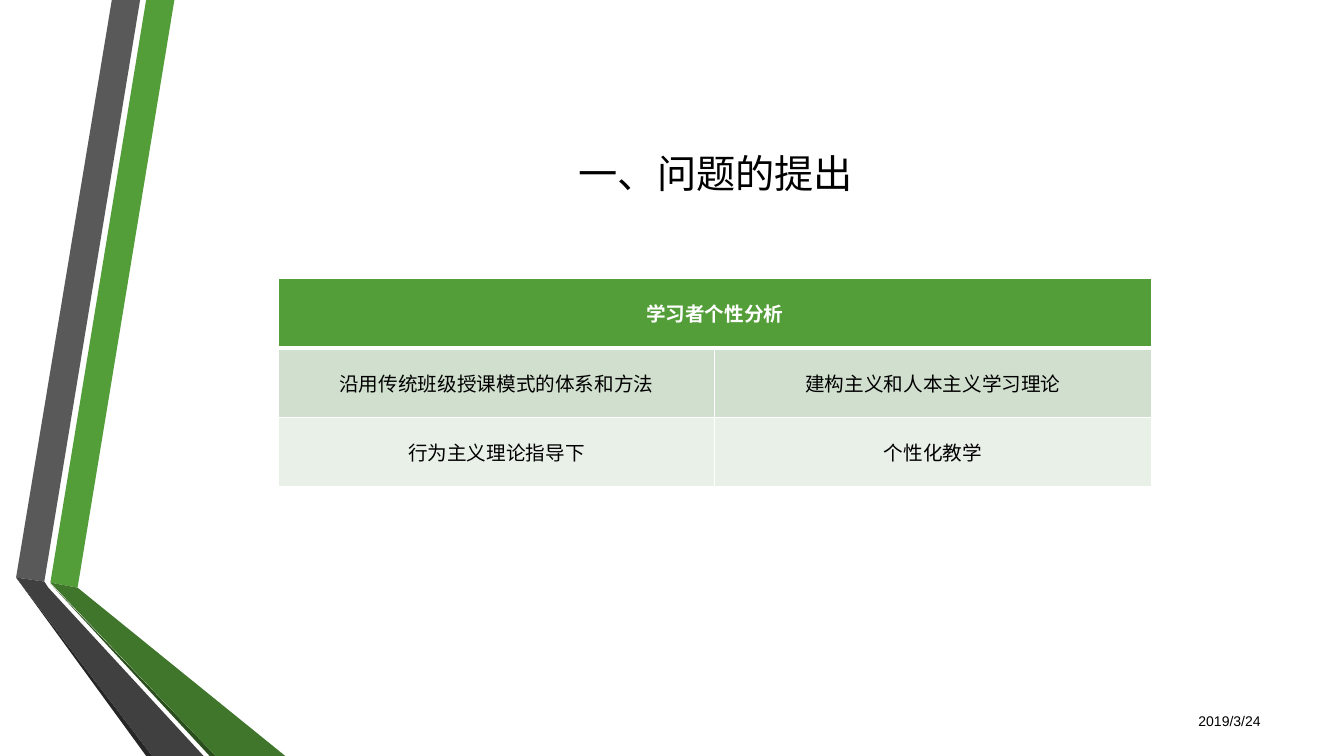
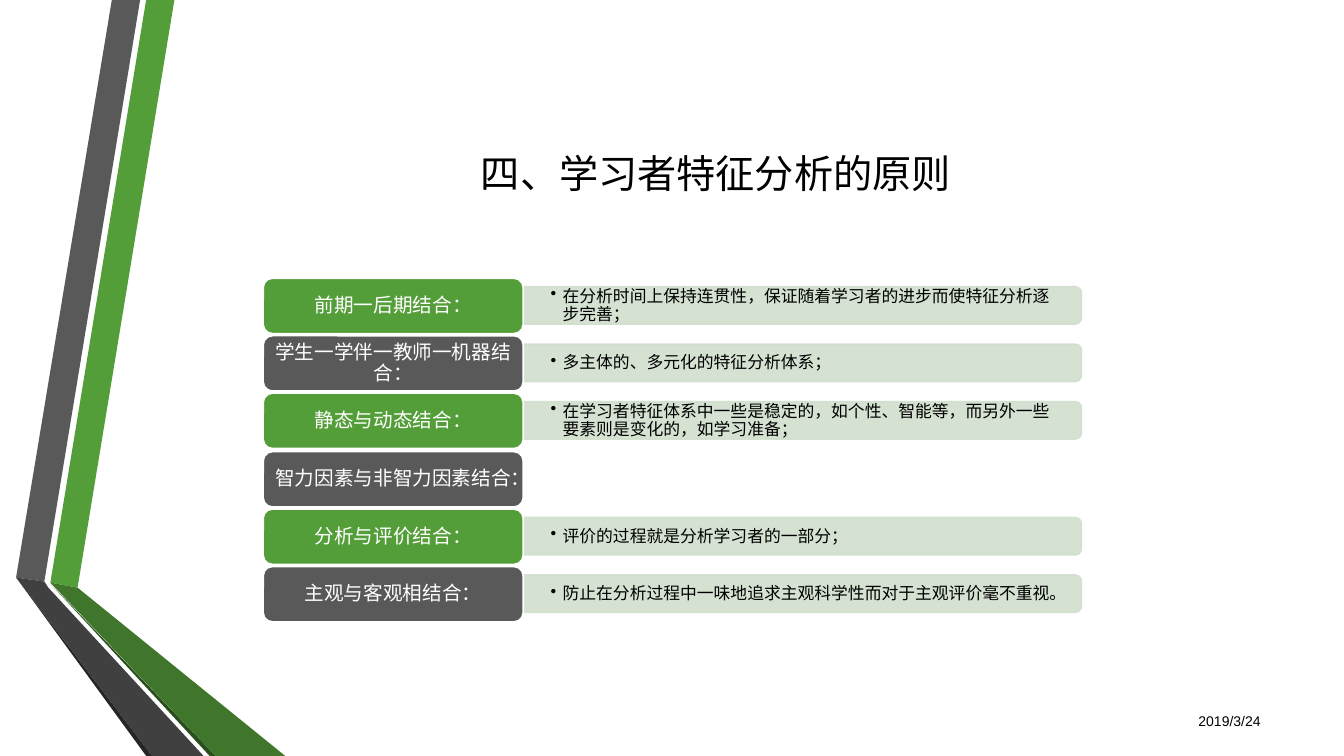
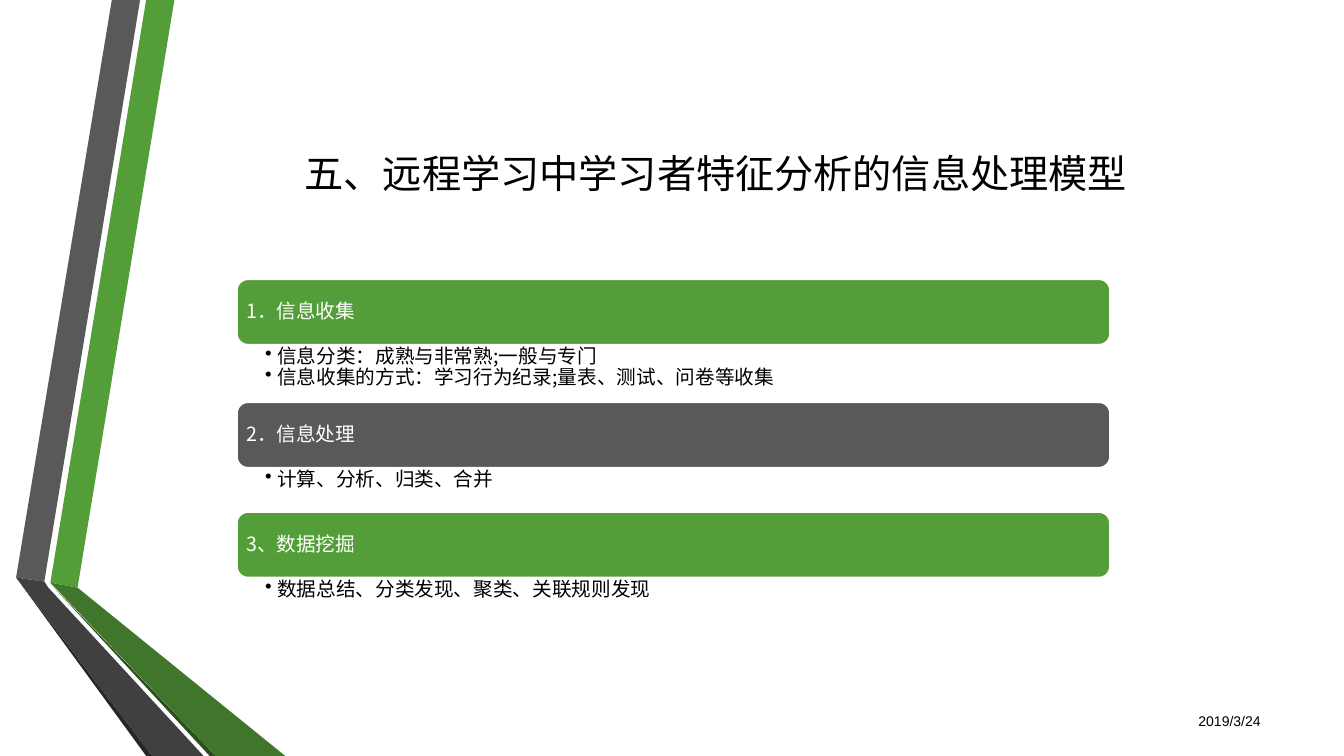
from lxml import etree
from pptx import Presentation
from pptx.dml.color import RGBColor
from pptx.enum.shapes import MSO_SHAPE
from pptx.enum.text import MSO_ANCHOR, PP_ALIGN
from pptx.oxml.ns import qn
from pptx.util import Pt

PX = 9144  # 100 px to the inch
LEFT, CENTER, RIGHT = PP_ALIGN.LEFT, PP_ALIGN.CENTER, PP_ALIGN.RIGHT
TOP, MIDDLE = MSO_ANCHOR.TOP, MSO_ANCHOR.MIDDLE
ROUND, ROUND_TOP = MSO_SHAPE.ROUNDED_RECTANGLE, MSO_SHAPE.ROUND_2_SAME_RECTANGLE

THEME = {
    "green": RGBColor.from_string("549E39"),
    "gray": RGBColor.from_string("595959"),
    "green_dark": RGBColor.from_string("3F762B"),
    "green_edge": RGBColor.from_string("2A4F1C"),
    "gray_dark": RGBColor.from_string("404040"),
    "gray_edge": RGBColor.from_string("262626"),
    "pale": RGBColor.from_string("D1DFCE"),
    "paler": RGBColor.from_string("E9F0E8"),
    "white": RGBColor.from_string("FFFFFF"),
    "black": RGBColor.from_string("000000"),
    "latin": "Arial",
    "cjk": "Noto Sans CJK SC",
    "title": Pt(28), "body": Pt(14), "detail": Pt(12), "date": Pt(10),
    "line": Pt(1.25),
}
ACCENTS = [THEME["green"], THEME["gray"]]

RIBBONS = [
    ("green", [(50, 578), (77, 583), (173, 0), (145, 0)]),
    ("gray", [(139, 0), (111, 0), (16, 573), (44, 577)]),
    ("gray_edge", [(16, 573), (145, 750), (151, 750)]),
    ("green_edge", [(50, 579), (208, 750), (214, 750)]),
    ("green_dark", [(50, 578), (214, 750), (283, 750), (77, 583)]),
    ("gray_dark", [(202, 750), (48, 583), (44, 577), (16, 573), (151, 750)]),
]


def write(tf, lines, size, color="black", font="latin", align=LEFT, anchor=MIDDLE,
          insets=(10, 5, 10, 5), spacing=None, bullet=False, bold=False):
    """Fill a text frame or table cell; insets are left, top, right, bottom."""
    frame = getattr(tf, "text_frame", tf)
    frame.word_wrap = True
    tf.vertical_anchor = anchor
    for side, inset in zip(("left", "top", "right", "bottom"), insets):
        setattr(tf, "margin_" + side, inset * PX)
    for i, line in enumerate(lines):
        p = frame.add_paragraph() if i else frame.paragraphs[0]
        p.alignment, p.line_spacing = align, spacing
        if bullet:
            pPr = p._p.get_or_add_pPr()
            pPr.set("marL", str(12 * PX))
            pPr.set("indent", str(-12 * PX))
            etree.SubElement(pPr, qn("a:buChar")).set("char", "•")
        r = p.add_run()
        r.text = line
        for name, value in {"size": THEME[size], "name": THEME[font], "bold": bold}.items():
            setattr(r.font, name, value)
        r.font.color.rgb = THEME[color]
        if font == "cjk":
            etree.SubElement(r._r.get_or_add_rPr(), qn("a:ea")).set("typeface", THEME[font])


def add_box(s, box, kind=None, fill=None, line=None):
    """Add a text box, or a filled and outlined shape when a kind is given."""
    box = [v * PX for v in box]
    if kind is None:
        return s.shapes.add_textbox(*box)
    sp = s.shapes.add_shape(kind, *box)
    sp.shadow.inherit = False
    sp.fill.solid()
    sp.fill.fore_color.rgb = fill
    sp.line.color.rgb = line
    sp.line.width = THEME["line"]
    return sp


prs = Presentation()
prs.slide_width, prs.slide_height = 1333 * PX, 750 * PX

slides = []
for title in ("一、问题的提出", "四、学习者特征分析的原则",
              "五、远程学习中学习者特征分析的信息处理模型"):
    s = prs.slides.add_slide(prs.slide_layouts[6])
    for color, points in RIBBONS:
        outline = s.shapes.build_freeform(*points[0], scale=PX)
        outline.add_line_segments(points[1:], close=True)
        sp = outline.convert_to_shape()
        sp.shadow.inherit = False
        sp.fill.solid()
        sp.fill.fore_color.rgb = THEME[color]
        sp.line.fill.background()
    write(add_box(s, (162, 75, 1096, 192)).text_frame, [title], "title",
          font="cjk", align=CENTER)
    write(add_box(s, (1135, 695, 125, 40)).text_frame, ["2019/3/24"], "date", align=RIGHT)
    slides.append(s)
table_slide, principles_slide, model_slide = slides

# Slide 1: comparison table
ROWS = [
    ("学习者个性分析", ""),
    ("沿用传统班级授课模式的体系和方法", "建构主义和人本主义学习理论"),
    ("行为主义理论指导下", "个性化教学"),
]
table = table_slide.shapes.add_table(3, 2, 276 * PX, 276 * PX, 866 * PX, 207 * PX).table
table.cell(0, 0).merge(table.cell(0, 1))
for i, (texts, fill) in enumerate(zip(ROWS, ("green", "pale", "paler"))):
    table.rows[i].height = 69 * PX
    for j, text in enumerate(texts):
        cell = table.cell(i, j)
        cell.fill.solid()
        cell.fill.fore_color.rgb = THEME[fill]
        if text:
            write(cell, [text], "body", "black" if i else "white", align=CENTER, bold=i == 0)
        widths = {"L": 1, "R": 1, "T": 3 if i == 1 else 1, "B": 1 if i else 3}
        for n, (side, width) in enumerate(widths.items()):
            ln = etree.Element(qn("a:ln" + side), w=str(Pt(width)))
            solid = etree.SubElement(ln, qn("a:solidFill"))
            etree.SubElement(solid, qn("a:srgbClr")).set("val", str(THEME["white"]))
            cell._tc.get_or_add_tcPr().insert(n, ln)

# Slide 2: principles, each a label with an optional detail
PRINCIPLES = [
    ("前期一后期结合：", "在分析时间上保持连贯性，保证随着学习者的进步而使特征分析逐步完善；"),
    ("学生一学伴一教师一机器结合：", "多主体的、多元化的特征分析体系；"),
    ("静态与动态结合：", "在学习者特征体系中一些是稳定的，如个性、智能等，而另外一些要素则是变化的，如学习准备；"),
    ("智力因素与非智力因素结合：", None),
    ("分析与评价结合：", "评价的过程就是分析学习者的一部分；"),
    ("主观与客观相结合：", "防止在分析过程中一味地追求主观科学性而对于主观评价毫不重视。"),
]
s = principles_slide
for i, (label, detail) in enumerate(PRINCIPLES):
    top = 276 + 344 * i // 6
    if detail:
        # The strip is an upright shape turned on its side
        strip = add_box(s, (777, top - 250, 37, 554), ROUND_TOP, THEME["pale"], THEME["pale"])
        strip.rotation = 90
        for clr in strip._element.spPr.iter(qn("a:srgbClr")):
            etree.SubElement(clr, qn("a:alpha")).set("val", "90000")
        write(add_box(s, (519, top + 11, 552, 33)).text_frame, [detail], "detail",
              insets=(27, 14, 27, 14), spacing=0.9, bullet=True)
    sp = add_box(s, (261, top, 258, 55), ROUND, ACCENTS[i % 2], THEME["white"])
    write(sp.text_frame, [label], "body", "white", align=CENTER,
          insets=(6, 3, 6, 3), spacing=0.9)

# Slide 3: steps of the model, stacked bars with bullets below
STEPS = [
    ("1．信息收集", 57, ["信息分类：成熟与非常熟;一般与专门",
                    "信息收集的方式：学习行为纪录;量表、测试、问卷等收集"]),
    ("2．信息处理", 44, ["计算、分析、归类、合并"]),
    ("3、数据挖掘", 44, ["数据总结、分类发现、聚类、关联规则发现"]),
]
s = model_slide
top, bar_height = 277, 65
for i, (step, height, points) in enumerate(STEPS):
    sp = add_box(s, (235, top, 866, bar_height), ROUND, ACCENTS[i % 2], THEME["white"])
    write(sp.text_frame, [step], "body", "white", "cjk", insets=(6, 6, 6, 6), spacing=0.9)
    top += bar_height
    write(add_box(s, (235, top, 866, height)).text_frame, points, "body", font="cjk",
          anchor=TOP, insets=(28, 2, 11, 2), spacing=0.9, bullet=True)
    top += height

prs.save("out.pptx")
